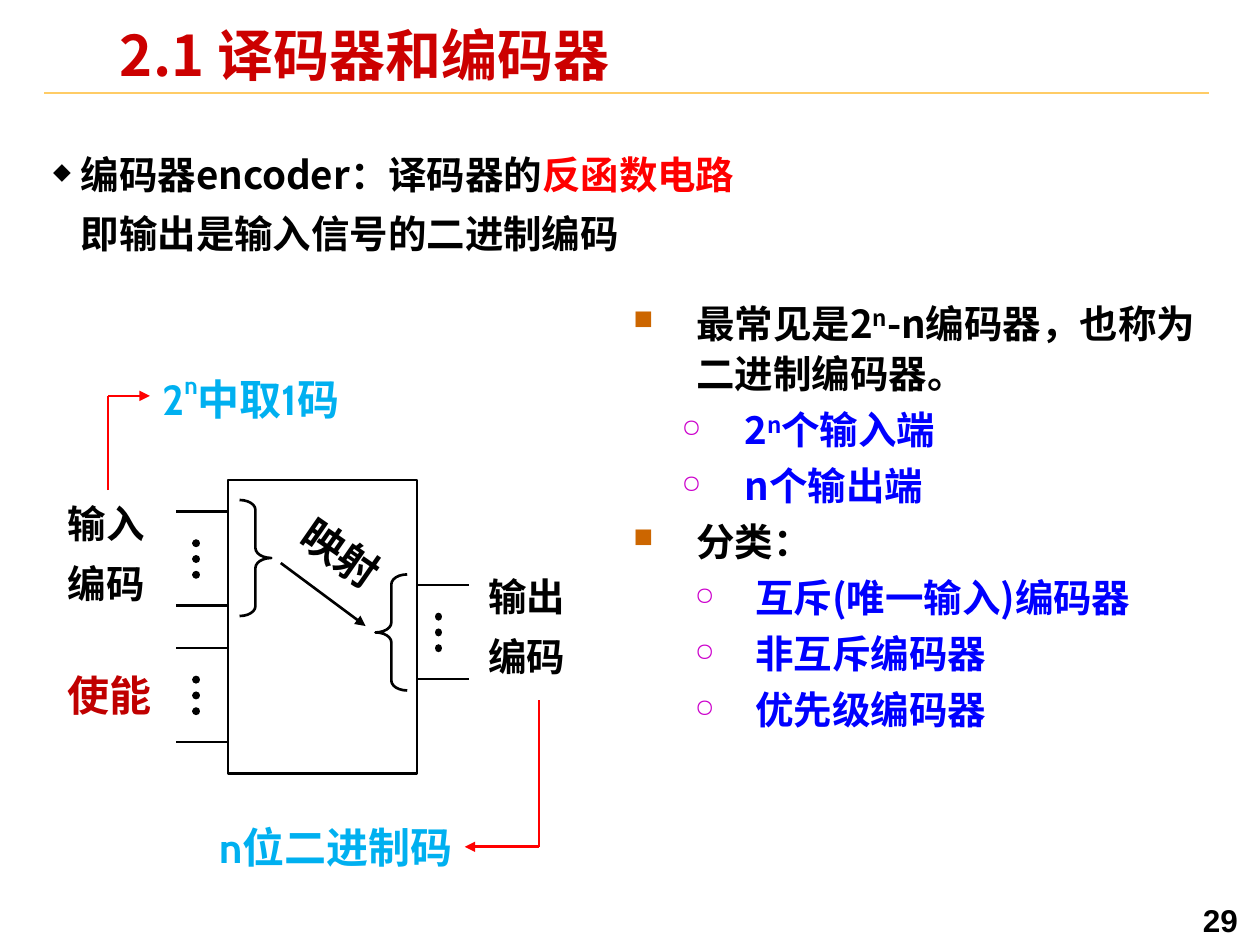
"""Build the encoder slide: definition, block diagram and classification list."""
import pptx
import pptx.util
import pptx.dml.color
import pptx.enum.dml
import pptx.enum.shapes
import pptx.enum.text
from pptx.oxml.ns import qn
from lxml import etree

Cm, Pt = pptx.util.Cm, pptx.util.Pt
RGBColor = pptx.dml.color.RGBColor
MSO_SHAPE = pptx.enum.shapes.MSO_SHAPE

BLACK = RGBColor(0x00, 0x00, 0x00)
TITLE_RED = RGBColor(0xCC, 0x00, 0x00)
RED = RGBColor(0xFF, 0x00, 0x00)
DARK_RED = RGBColor(0xC0, 0x00, 0x00)
BLUE = RGBColor(0x00, 0x00, 0xFF)
SKY = RGBColor(0x00, 0xB0, 0xF0)
GOLD = RGBColor(0xFF, 0xCC, 0x66)
ORANGE = RGBColor(0xCC, 0x66, 0x00)
PURPLE = RGBColor(0xCC, 0x00, 0xCC)

SANS, SERIF, CABIN = "Noto Sans CJK SC", "Times New Roman", "Cabin"
TIGHT = (0.18, 0.08)

DIAMOND = {"bullet": ("◆", BLACK, 60), "margin": 0.56, "indent": -0.56}
CONTINUED = {"margin": 0.56, "indent": 0}
SQUARE = {"bullet": ("■", ORANGE, 70), "margin": 1.27, "indent": -1.27}
CIRCLE = {"bullet": ("○", PURPLE, 65), "margin": 2.24, "indent": -1.27, "level": 1}
DEEP_CIRCLE = {**CIRCLE, "margin": 2.46, "indent": -1.22}

TITLE = [({}, [("2.1 译码器和编码器", TITLE_RED, 0)])]
DEFINITION = [
    (DIAMOND, [("编码器encoder：译码器的", BLACK, 0), ("反函数电路", RED, 0)]),
    (CONTINUED, [("即输出是输入信号的二进制编码", BLACK, 0)]),
]
CLASSIFICATION = [
    (SQUARE, [("最常见是2", BLACK, 0), ("n", BLACK, 30),
              ("-n编码器，也称为二进制编码器。", BLACK, 0)]),
    (CIRCLE, [("2", BLUE, 0), ("n", BLUE, 30), ("个输入端", BLUE, 0)]),
    (CIRCLE, [("n个输出端", BLUE, 0)]),
    (SQUARE, [("分类：", BLACK, 0)]),
] + [(DEEP_CIRCLE, [(name, BLUE, 0)])
     for name in ("互斥(唯一输入)编码器", "非互斥编码器", "优先级编码器")]
INPUT_LABEL = [({}, [(word, BLACK, 0)]) for word in ("输入", "编码")]
OUTPUT_LABEL = [({}, [(word, BLACK, 0)]) for word in ("输出", "编码")]
ENABLE_LABEL = [({}, [("使能", DARK_RED, 0)])]
MAPPING_LABEL = [({}, [("映射", BLACK, 0)])]
INPUT_NOTE = [({}, [("2", SKY, 0), ("n", SKY, 50), ("中取1码", SKY, 0)])]
OUTPUT_NOTE = [({}, [("n位二进制码", SKY, 0)])]
PAGE_NUMBER = [({}, [("29", BLACK, 0)])]

TEXTS = [
    (TITLE, (2.24, 0.53, 16.87, 1.32), SANS, 32,
     {"spacing": 0.87, "insets": TIGHT, "middle": True}),
    (DEFINITION, (0.89, 2.77, 24.13, 2.39), SANS, 22,
     {"spacing": 1.2, "before": 2.2, "insets": TIGHT}),
    (PAGE_NUMBER, (24, 18.03, 1.4, 0.91), "Arial", 18, {}),
    (ENABLE_LABEL, (1.12, 13.06, 2.24, 1.45), SERIF, 24, {"spacing": 1.3}),
    (INPUT_LABEL, (1.12, 9.68, 2.08, 2.57), SANS, 22, {"spacing": 1.3}),
    (OUTPUT_LABEL, (9.6, 11.15, 2.08, 2.59), SANS, 22, {"spacing": 1.3}),
    (MAPPING_LABEL, (5.77, 10.52, 2.24, 1.3), SERIF, 24, {"rotation": 34.8}),
    (INPUT_NOTE, (3.02, 7.34, 4.32, 1.3), CABIN, 24, {}),
    (OUTPUT_NOTE, (4.17, 16.43, 5.26, 1.3), CABIN, 24, {}),
    (CLASSIFICATION, (12.52, 5.82, 12.45, 10.9), SANS, 22,
     {"spacing": Pt(29), "before": 3}),
]

BLOCK = (4.6, 9.68, 3.81, 5.92)
STUB, PORT_GAP = 1.05, 1.9
DOTS_START, DOTS_LENGTH, DOTS_OFFSET = 0.64, 0.84, 0.64
PORTS = [("left", 10.31), ("left", 13.06), ("right", 11.79)]
BRACES = [(MSO_SHAPE.RIGHT_BRACE, 4.83, 10.08), (MSO_SHAPE.LEFT_BRACE, 7.57, 11.58)]
BRACE_SIZE = (0.64, 2.34)
MAPPING_ARROW = [(5.66, 11.35), (7.37, 12.62)]
NOTE_ARROWS = [
    [(2.18, 9.88), (2.18, 7.98), (3.02, 7.98)],
    [(10.87, 14.12), (10.87, 17.07), (9.37, 17.07)],
]


def add_bullet(paragraph, character, colour, percent):
    properties = paragraph._p.get_or_add_pPr()
    colour_element = etree.SubElement(properties, qn("a:buClr"))
    etree.SubElement(colour_element, qn("a:srgbClr"), val=str(colour))
    etree.SubElement(properties, qn("a:buSzPct"), val=str(percent * 1000))
    etree.SubElement(properties, qn("a:buChar"), char=character)


def add_text(slide, paragraphs, box, font_name, size, options):
    shape = slide.shapes.add_textbox(*map(Cm, box))
    shape.rotation = options.get("rotation", 0)
    frame = shape.text_frame
    frame.word_wrap = True
    if options.get("middle"):
        frame.vertical_anchor = pptx.enum.text.MSO_ANCHOR.MIDDLE
    horizontal, vertical = options.get("insets", (0.25, 0.13))
    frame.margin_left = frame.margin_right = Cm(horizontal)
    frame.margin_top = frame.margin_bottom = Cm(vertical)
    for index, (style, runs) in enumerate(paragraphs):
        paragraph = frame.add_paragraph() if index else frame.paragraphs[0]
        paragraph.level = style.get("level", 0)
        paragraph.line_spacing = options.get("spacing", 1.0)
        paragraph.space_before = Pt(options.get("before", 0))
        properties = paragraph._p.get_or_add_pPr()
        properties.set("marL", str(Cm(style.get("margin", 0))))
        properties.set("indent", str(Cm(style.get("indent", 0))))
        if "bullet" in style:
            add_bullet(paragraph, *style["bullet"])
        for text, colour, baseline in runs:
            run = paragraph.add_run()
            run.text = text
            run.font.name, run.font.size, run.font.bold = font_name, Pt(size), True
            run.font.color.rgb = colour
            run_properties = run._r.get_or_add_rPr()
            etree.SubElement(run_properties, qn("a:ea"), typeface=SANS)
            if baseline:
                run_properties.set("baseline", str(baseline * 1000))


def add_line(slide, start, end, colour=BLACK, width=1.5, arrow=False, dotted=False):
    connector = slide.shapes.add_connector(
        pptx.enum.shapes.MSO_CONNECTOR.STRAIGHT, *map(Cm, (*start, *end)))
    connector.line.color.rgb = colour
    connector.line.width = Pt(width)
    outline = connector.line._get_or_add_ln()
    if dotted:
        connector.line.dash_style = pptx.enum.dml.MSO_LINE.ROUND_DOT
        outline.set("cap", "rnd")
    if arrow:
        etree.SubElement(outline, qn("a:tailEnd"), type="triangle")
    etree.SubElement(connector._element.spPr, qn("a:effectLst"))


def add_outline(slide, kind, box):
    shape = slide.shapes.add_shape(kind, *map(Cm, box))
    shape.shadow.inherit = False
    shape.fill.background()
    shape.line.color.rgb = BLACK
    shape.line.width = Pt(1.5)
    return shape


def add_ports(slide, side, top):
    left, _, width, _ = BLOCK
    edge, direction = (left, -1) if side == "left" else (left + width, 1)
    for y in (top, top + PORT_GAP):
        add_line(slide, (edge, y), (edge + direction * STUB, y))
    x = edge + direction * (DOTS_OFFSET if side == "left" else 0.43)
    first = top + DOTS_START
    add_line(slide, (x, first), (x, first + DOTS_LENGTH), width=4.5, dotted=True)


def main():
    presentation = pptx.Presentation()
    presentation.slide_width, presentation.slide_height = Cm(25.4), Cm(19.05)
    slide = presentation.slides.add_slide(presentation.slide_layouts[6])
    add_line(slide, (0.89, 1.88), (24.38, 1.88), GOLD, 1)
    add_outline(slide, MSO_SHAPE.RECTANGLE, BLOCK)
    for side, top in PORTS:
        add_ports(slide, side, top)
    for kind, left, top in BRACES:
        brace = add_outline(slide, kind, (left, top, *BRACE_SIZE))
        brace.adjustments[0], brace.adjustments[1] = 0.31, 0.5
    add_line(slide, *MAPPING_ARROW, arrow=True)
    for start, corner, end in NOTE_ARROWS:
        add_line(slide, start, corner, RED)
        add_line(slide, corner, end, RED, arrow=True)
    for text in TEXTS:
        add_text(slide, *text)
    presentation.save("out.pptx")


if __name__ == "__main__":
    main()
